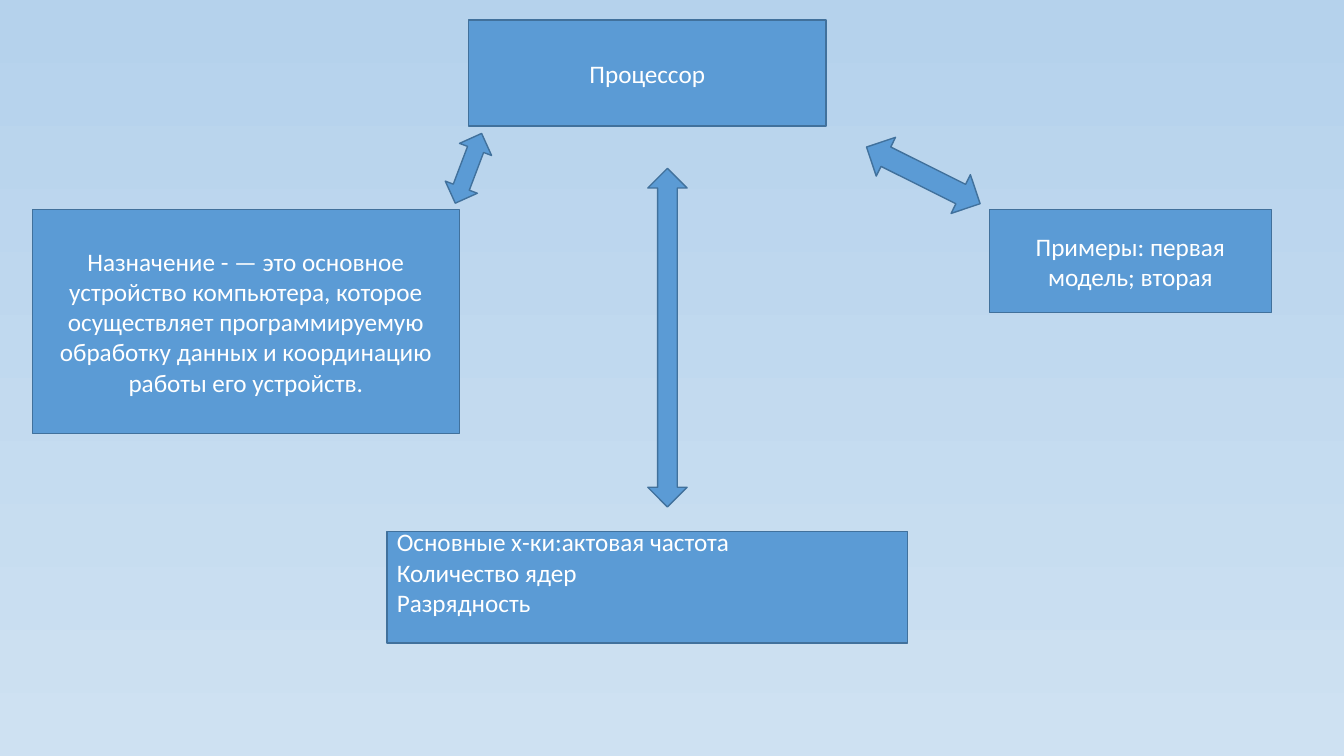
from pptx import Presentation
from pptx import util as u
from pptx.dml.color import RGBColor
from pptx.enum import shapes, text

COLORS = {
    "sky_top": "B5D2EC",
    "sky_bottom": "CEE1F2",
    "fill": "5B9BD5",
    "outline": "41719C",
    "text": "FFFFFF",
}


def color(name):
    return RGBColor.from_string(COLORS[name])


def add_block(slide, kind, place):
    block = slide.shapes.add_shape(kind, *(u.Inches(v) for v in place))
    block.shadow.inherit = False
    block.fill.solid()
    block.fill.fore_color.rgb = color("fill")
    block.line.color.rgb = color("outline")
    block.line.width = u.Pt(1)
    return block


deck = Presentation()
deck.slide_width = u.Inches(13.34)
deck.slide_height = u.Inches(7.5)
slide = deck.slides.add_slide(deck.slide_layouts[6])

sky = slide.background.fill
sky.gradient()
sky.gradient_angle = 270
for stop, name in zip(sky.gradient_stops, ("sky_top", "sky_bottom")):
    stop.color.rgb = color(name)

CENTER, LEFT = text.PP_ALIGN.CENTER, text.PP_ALIGN.LEFT
topics = [
    ((4.65, 0.2, 3.55, 1.05), CENTER, 0.05, 0.05, ["Процессор"]),
    ((0.32, 2.08, 4.24, 2.22), CENTER, 0.05, 0.05, [
        "Назначение - — это основное устройство компьютера, которое осуществляет "
        "программируемую обработку данных и координацию работы его устройств."]),
    ((3.84, 5.27, 5.17, 1.11), LEFT, 0, 0.3, [
        "Основные х-ки:актовая частота", "Количество ядер", "Разрядность"]),
    ((9.82, 2.08, 2.8, 1.02), CENTER, 0.05, 0.05, ["Примеры: первая модель; вторая"]),
]
for place, align, top, bottom, lines in topics:
    frame = add_block(slide, shapes.MSO_SHAPE.RECTANGLE, place).text_frame
    frame.word_wrap = True
    frame.vertical_anchor = text.MSO_ANCHOR.MIDDLE
    frame.margin_top = u.Inches(top)
    frame.margin_bottom = u.Inches(bottom)
    frame.text = "\n".join(lines)
    for paragraph in frame.paragraphs:
        paragraph.alignment = align
        paragraph.font.name = "Calibri"
        paragraph.font.size = u.Pt(18)
        paragraph.font.color.rgb = color("text")

arrows = [
    ((4.48, 1.3, 0.34, 0.74), 20.7),
    ((8.95, 1.11, 0.43, 1.26), 296.5),
    ((6.43, 1.67, 0.39, 3.36), 0),
]
for place, angle in arrows:
    arrow = add_block(slide, shapes.MSO_SHAPE.UP_DOWN_ARROW, place)
    arrow.adjustments[0] = 0.5
    arrow.adjustments[1] = 0.5
    arrow.rotation = angle

deck.save("out.pptx")
